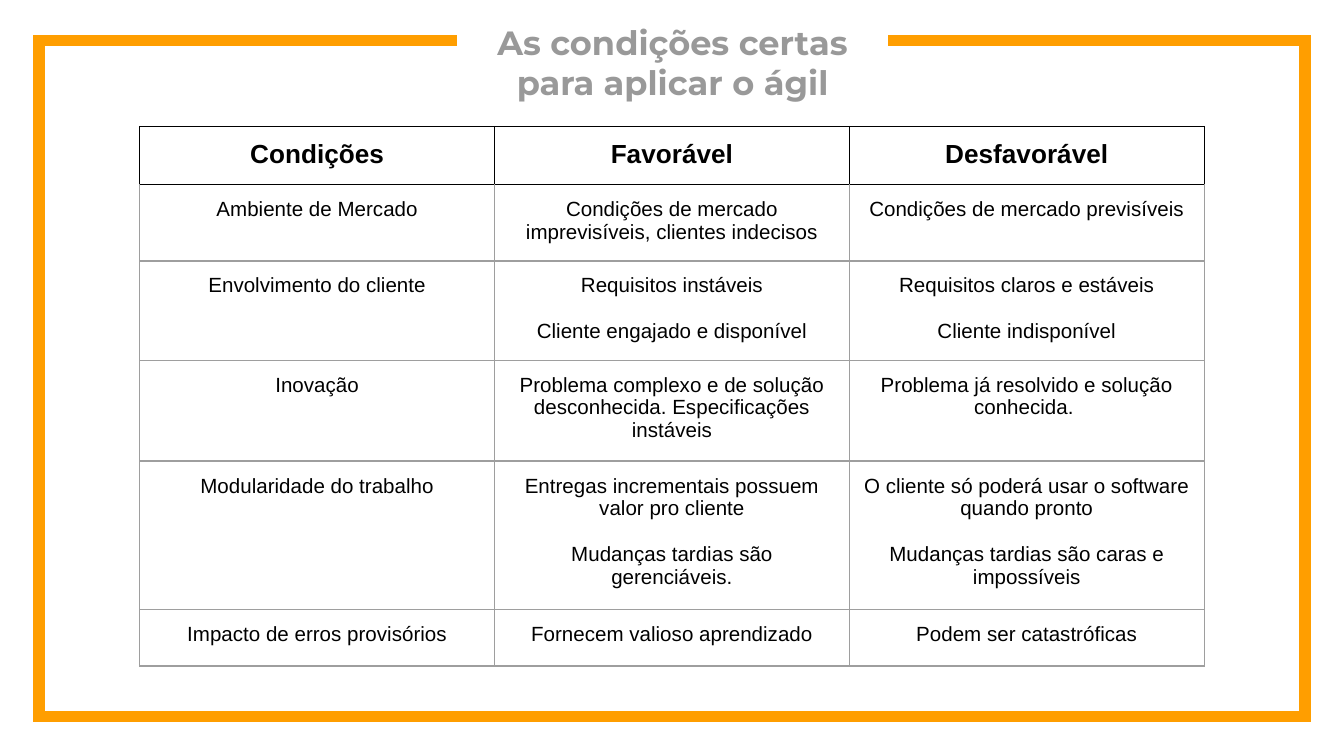
from typing import NamedTuple

from lxml import etree
from pptx import Presentation
from pptx.dml.color import RGBColor
from pptx.enum import text
from pptx.oxml import ns
from pptx.util import Inches, Pt

ORANGE = RGBColor(0xFF, 0x9E, 0x00)
TITLE_GRAY = RGBColor(0x99, 0x99, 0x99)
BORDER_GRAY = RGBColor(0x9E, 0x9E, 0x9E)
BLACK = RGBColor(0x00, 0x00, 0x00)

SLIDE_WIDTH = Inches(10)
SLIDE_HEIGHT = SLIDE_WIDTH * 9 // 16
COLUMN_WIDTH, ROW_HEIGHT = Inches(2.64), Inches(0.42)
MARGIN = Inches(0.1)
PARAGRAPH_GAP = Pt(12.3)


class Condition(NamedTuple):
    """One table row; a line break separates paragraphs."""
    name: str
    favorable: str
    unfavorable: str


HEADER = Condition("Condições", "Favorável", "Desfavorável")
CONDITIONS = [
    Condition("Ambiente de Mercado",
              "Condições de mercado imprevisíveis, clientes indecisos",
              "Condições de mercado previsíveis"),
    Condition("Envolvimento do cliente",
              "Requisitos instáveis\nCliente engajado e disponível",
              "Requisitos claros e estáveis\nCliente indisponível"),
    Condition("Inovação",
              "Problema complexo e de solução desconhecida. Especificações instáveis",
              "Problema já resolvido e solução conhecida. "),
    Condition("Modularidade do trabalho",
              "Entregas incrementais possuem valor pro cliente\n"
              "Mudanças tardias são gerenciáveis.",
              "O cliente só poderá usar o software quando pronto\n"
              "Mudanças tardias são caras e impossíveis"),
    Condition("Impacto de erros provisórios",
              "Fornecem valioso aprendizado",
              "Podem ser catastróficas"),
]


def write_text(frame, content: str, font_name: str, size: float,
               color: RGBColor, bold: bool) -> None:
    """Fill a text frame with centred paragraphs."""
    frame.text = content
    for index, paragraph in enumerate(frame.paragraphs):
        paragraph.alignment = text.PP_ALIGN.CENTER
        if index:
            paragraph.space_before = PARAGRAPH_GAP
        # Row heights are measured with the run font
        for font in (paragraph.font, paragraph.runs[0].font):
            font.name, font.size, font.bold = font_name, Pt(size), bold
            font.color.rgb = color


def set_borders(cell, color: RGBColor, top_color: RGBColor) -> None:
    """Draw the four cell borders, placed before the cell fill."""
    properties = cell._tc.get_or_add_tcPr()
    for index, side in enumerate(("lnL", "lnR", "lnT", "lnB")):
        line = etree.Element(ns.qn(f"a:{side}"), w=str(Pt(0.75)))
        fill = etree.SubElement(line, ns.qn("a:solidFill"))
        side_color = top_color if side == "lnT" else color
        etree.SubElement(fill, ns.qn("a:srgbClr"), val=str(side_color))
        properties.insert(index, line)


def add_frame(slide) -> None:
    """Draw the open orange frame, with a gap for the title."""
    left, right, top, bottom = 0.29, 9.71, 0.3, 5.33
    corners = [(left, top), (left, bottom), (right, bottom), (right, top), (6.61, top)]
    builder = slide.shapes.build_freeform(Inches(3.4), Inches(top))
    builder.add_line_segments([(Inches(x), Inches(y)) for x, y in corners], close=False)
    shape = builder.convert_to_shape()
    shape.shadow.inherit = False
    shape.fill.background()
    shape.line.color.rgb = ORANGE
    shape.line.width = Pt(6)
    etree.SubElement(shape.line._ln, ns.qn("a:miter"), lim="800000")


def add_title(slide, content: str) -> None:
    box = slide.shapes.add_textbox(Inches(3.55), Inches(0.06), Inches(2.91), Inches(0.8))
    frame = box.text_frame
    frame.word_wrap = True
    frame.vertical_anchor = text.MSO_ANCHOR.MIDDLE
    frame.margin_left = frame.margin_right = MARGIN
    frame.margin_top = frame.margin_bottom = MARGIN
    write_text(frame, content, "Montserrat", 18, TITLE_GRAY, True)


def add_conditions_table(slide, rows: list[Condition]) -> None:
    column_count = len(HEADER)
    table = slide.shapes.add_table(
        len(rows), column_count, Inches(1.04), Inches(0.94),
        COLUMN_WIDTH * column_count, ROW_HEIGHT * len(rows)).table
    table.first_row = table.horz_banding = False
    for row_index, row in enumerate(rows):
        is_header = row_index == 0
        for column_index, content in enumerate(row):
            cell = table.cell(row_index, column_index)
            cell.margin_left = cell.margin_right = MARGIN
            cell.margin_top = cell.margin_bottom = MARGIN
            cell.fill.background()
            set_borders(cell, BLACK if is_header else BORDER_GRAY,
                        BLACK if row_index <= 1 else BORDER_GRAY)
            write_text(cell.text_frame, content, "Arial",
                       14 if is_header else 11, BLACK, is_header)


def main() -> None:
    presentation = Presentation()
    presentation.slide_width, presentation.slide_height = SLIDE_WIDTH, SLIDE_HEIGHT
    slide = presentation.slides.add_slide(presentation.slide_layouts[6])
    add_frame(slide)
    add_title(slide, "As condições certas para aplicar o ágil")
    add_conditions_table(slide, [HEADER, *CONDITIONS])
    presentation.save("out.pptx")


if __name__ == "__main__":
    main()
